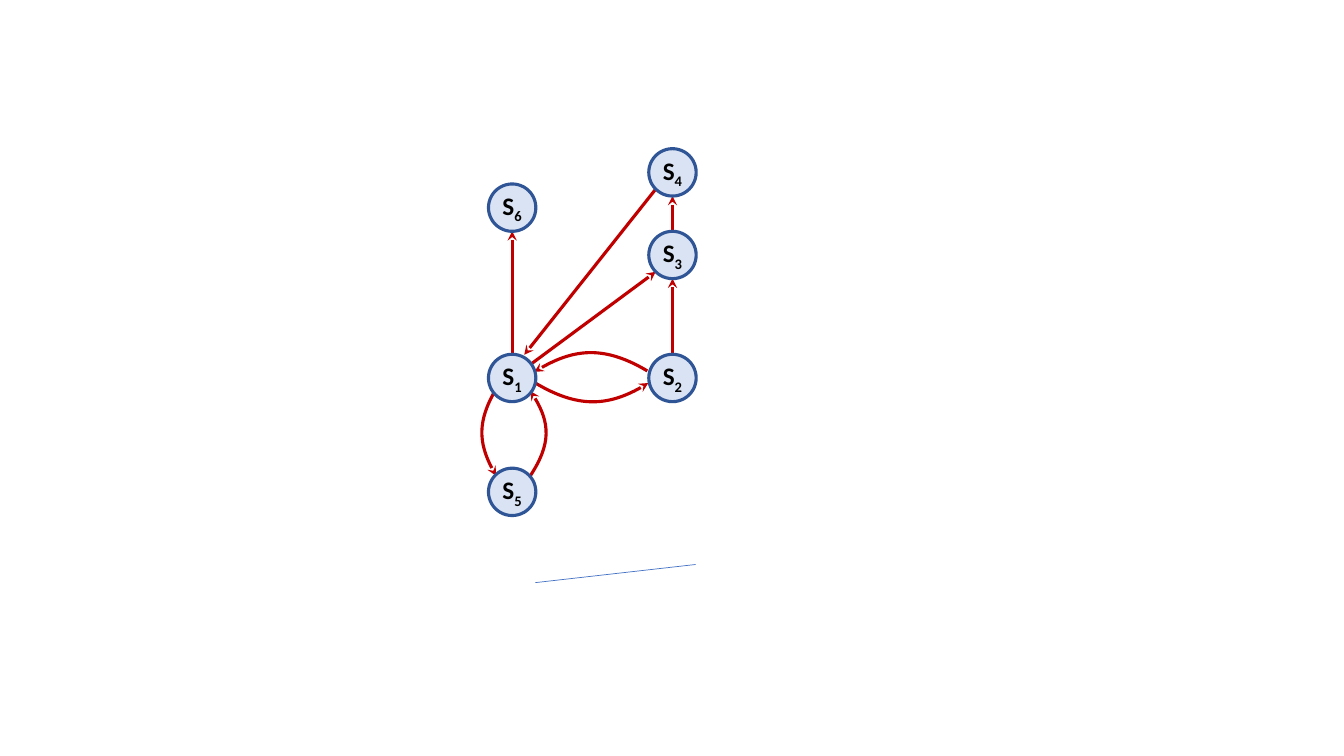
from dataclasses import dataclass

from pptx import Presentation
from pptx import util as u
from pptx.dml.color import RGBColor
from pptx.enum import shapes, text
from pptx.oxml.ns import qn
from lxml import etree


@dataclass(frozen=True)
class Theme:
    node_fill: str = "DAE3F3"
    node_edge: str = "2F5597"
    transition: str = "C00000"
    divider: str = "4472C4"
    label: str = "000000"
    font: str = "Calibri"
    label_size: float = 18
    stroke: float = 2.25
    thin_stroke: float = 0.5


THEME = Theme()
DIAMETER = 0.47
RADIUS = DIAMETER / 2
LEFT, RIGHT = 5.08, 6.67
STATES = {
    2: (RIGHT, 3.75),
    3: (RIGHT, 2.53),
    4: (RIGHT, 1.71),
    5: (LEFT, 4.88),
    6: (LEFT, 2.06),
    1: (LEFT, 3.75),
}
CENTRE, TOP, BOTTOM = (0, 0), (0, -1), (0, 1)
LOWER_LEFT, UPPER_RIGHT = (-0.71, 0.71), (0.51, -0.98)
TRANSITIONS = [
    (1, TOP, 6, BOTTOM),
    (4, LOWER_LEFT, 1, UPPER_RIGHT),
    (1, CENTRE, 3, LOWER_LEFT),
    (2, TOP, 3, BOTTOM),
    (3, TOP, 4, BOTTOM),
]
LOOPS = [
    [(5.31, 3.8), (5.73, 4.05), (6.07, 4.03), (6.43, 3.8)],
    [(6.42, 3.68), (6.0, 3.43), (5.66, 3.46), (5.3, 3.69)],
    [(4.92, 3.86), (4.73, 4.18), (4.75, 4.44), (4.92, 4.72)],
    [(5.26, 4.72), (5.47, 4.4), (5.45, 4.15), (5.26, 3.88)],
]
DIVIDER = [(5.31, 5.78), (6.9, 5.6)]


def style_line(line, color, width, arrow=False):
    line.color.rgb = RGBColor.from_string(color)
    line.width = u.Pt(width)
    if arrow:
        outline = line._get_or_add_ln()
        etree.SubElement(outline, qn("a:tailEnd"), type="stealth")


def rim_point(state, direction):
    return [c + RADIUS * d for c, d in zip(STATES[state], direction)]


def add_straight(slide, start, end, color, width, arrow=False):
    ends = [u.Inches(v) for v in (*start, *end)]
    connector = slide.shapes.add_connector(shapes.MSO_CONNECTOR.STRAIGHT, *ends)
    style_line(connector.line, color, width, arrow)
    etree.SubElement(connector._element.spPr, qn("a:effectLst"))
    return connector


def bezier_midpoint(controls):
    return tuple(
        (a + 3 * b + 3 * c + d) / 8 for a, b, c, d in zip(*controls)
    )


def add_loop(slide, controls):
    points = [(u.Inches(x), u.Inches(y)) for x, y in controls]
    builder = slide.shapes.build_freeform(*points[0])
    builder.add_line_segments([bezier_midpoint(points), points[-1]], close=False)
    loop = builder.convert_to_shape()
    path = loop._element.spPr.find(".//" + qn("a:path"))
    for segment in path.findall(qn("a:lnTo")):
        path.remove(segment)
    curve = etree.SubElement(path, qn("a:cubicBezTo"))
    for x, y in points[1:]:
        etree.SubElement(
            curve, qn("a:pt"), x=str(x - loop.left), y=str(y - loop.top)
        )
    loop.fill.background()
    style_line(loop.line, THEME.transition, THEME.stroke, arrow=True)
    loop.shadow.inherit = False


def add_state(slide, number):
    x, y = STATES[number]
    state = slide.shapes.add_shape(
        shapes.MSO_SHAPE.OVAL,
        u.Inches(x - RADIUS), u.Inches(y - RADIUS),
        u.Inches(DIAMETER), u.Inches(DIAMETER),
    )
    state.shadow.inherit = False
    state.fill.solid()
    state.fill.fore_color.rgb = RGBColor.from_string(THEME.node_fill)
    style_line(state.line, THEME.node_edge, THEME.stroke)
    frame = state.text_frame
    frame.margin_left = frame.margin_right = 0
    frame.margin_top = frame.margin_bottom = 0
    frame.vertical_anchor = text.MSO_ANCHOR.MIDDLE
    label = frame.paragraphs[0]
    label.alignment = text.PP_ALIGN.CENTER
    label.font.name = THEME.font
    label.font.size = u.Pt(THEME.label_size)
    label.font.bold = True
    label.font.color.rgb = RGBColor.from_string(THEME.label)
    label.add_run().text = "S"
    subscript = label.add_run()
    subscript.text = str(number)
    subscript.font._element.set("baseline", "-25000")
    return state


def main():
    deck = Presentation()
    deck.slide_width, deck.slide_height = u.Inches(13.33), u.Inches(7.5)
    slide = deck.slides.add_slide(deck.slide_layouts[6])

    arrows = [
        add_straight(
            slide, rim_point(source, leave), rim_point(target, arrive),
            THEME.transition, THEME.stroke, arrow=True,
        )
        for source, leave, target, arrive in TRANSITIONS
    ]
    add_straight(slide, *DIVIDER, THEME.divider, THEME.thin_stroke)
    for controls in LOOPS:
        add_loop(slide, controls)
    states = {number: add_state(slide, number) for number in STATES}

    for arrow, (source, leave, _, _) in zip(arrows, TRANSITIONS):
        if leave == TOP:
            arrow.begin_connect(states[source], 0)

    deck.save("out.pptx")


if __name__ == "__main__":
    main()
